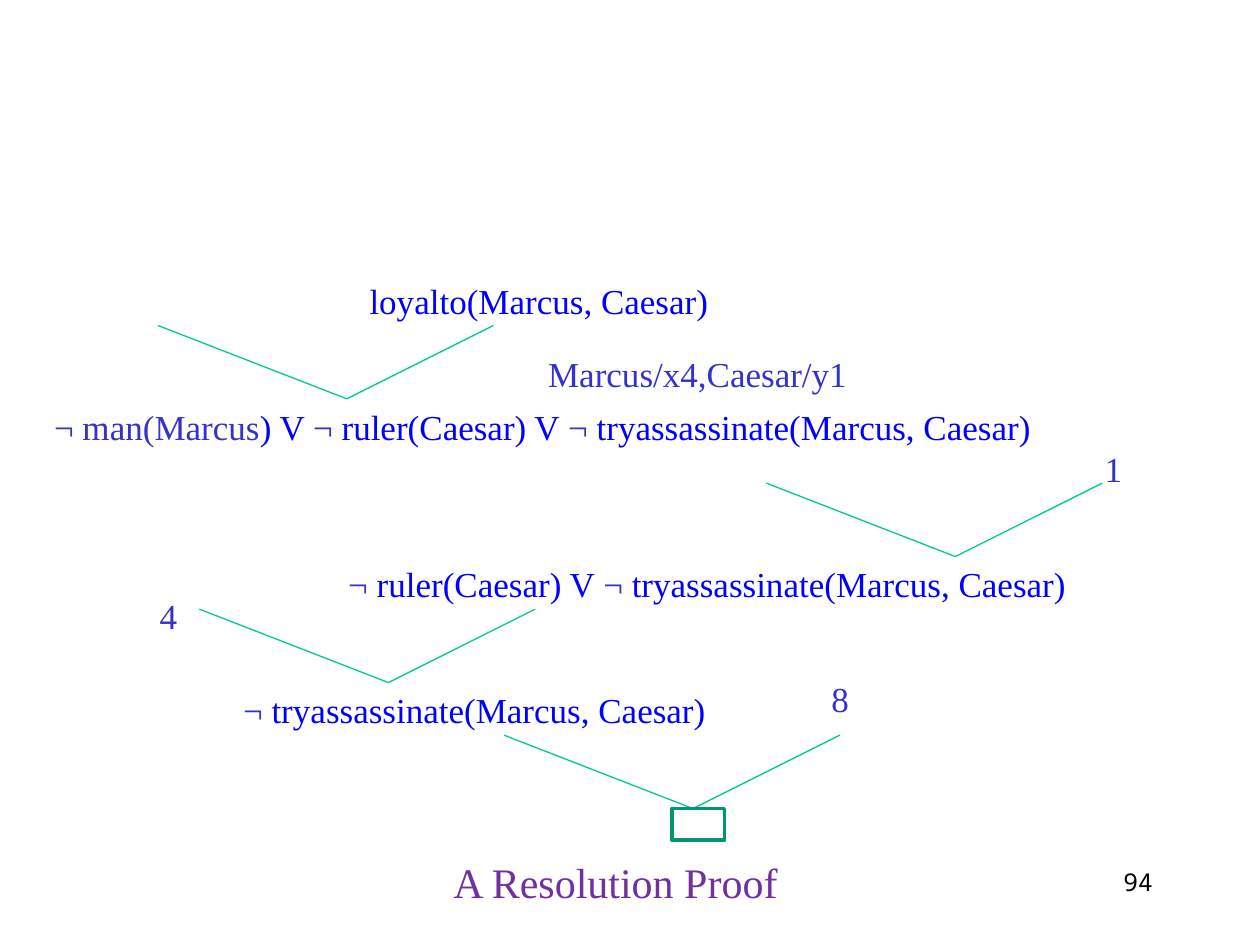
from dataclasses import dataclass

from lxml import etree
from pptx import Presentation
from pptx.dml.color import RGBColor
from pptx.enum.shapes import MSO_CONNECTOR, MSO_SHAPE
from pptx.enum.text import PP_ALIGN
from pptx.oxml.ns import qn
from pptx.slide import Slide
from pptx.util import Cm, Pt

STRAIGHT = MSO_CONNECTOR.STRAIGHT
RECT = MSO_SHAPE.RECTANGLE
LEFT, RIGHT = PP_ALIGN.LEFT, PP_ALIGN.RIGHT

BLUE = RGBColor(0x00, 0x00, 0xFF)
INDIGO = RGBColor(0x33, 0x33, 0xCC)
GREEN = RGBColor(0x00, 0xC8, 0x96)
TEAL = RGBColor(0x00, 0x97, 0x71)
PURPLE = RGBColor(0x70, 0x30, 0xA0)
BLACK = RGBColor(0x00, 0x00, 0x00)

SERIF = "Times New Roman"
MONO = "Noto Sans Mono"

Term = tuple[str, RGBColor]
NOT: Term = ("¬ ", INDIGO)
RULER: Term = ("ruler(Caesar) V ", BLUE)
TRY: Term = ("tryassassinate(Marcus, Caesar)", BLUE)


@dataclass(frozen=True)
class Label:
    """A line of text; lengths are in centimetres."""
    left: float
    top: float
    width: float
    terms: tuple[Term, ...]
    height: float = 1.11
    size: int = 20
    font: str = SERIF
    align: PP_ALIGN = LEFT
    wrap: bool = True


@dataclass(frozen=True)
class Fork:
    """Top left corner of the two lines that join a pair of clauses."""
    left: float
    top: float


DIP = 3.81    # from the left end of a fork to its tip
SPAN = 6.77   # from the left end to the right end
DROP = 1.48   # from the ends down to the tip

FORKS = (
    Fork(3.18, 6.56),
    Fork(15.45, 9.74),
    Fork(4.02, 12.28),
    Fork(10.16, 14.82),
)

LABELS = (
    Label(7.2, 5.5, 7.39, (("loyalto(Marcus, Caesar)", BLUE),), wrap=False),
    Label(10.8, 6.98, 8.46, (("Marcus/x4,Caesar/y1", INDIGO),)),
    Label(0.84, 8.05, 21.59,
          (("¬ man(Marcus", INDIGO), (") V ", BLUE), NOT, RULER, NOT, TRY)),
    Label(22.02, 8.89, 1.07, (("1", INDIGO),)),
    Label(5.5, 11.22, 17.78, (("\t¬ ", INDIGO), RULER, NOT, TRY)),
    Label(2.97, 11.86, 1.7, (("4", INDIGO),)),
    Label(4.65, 13.76, 10.19, (NOT, TRY), wrap=False),
    Label(16.51, 13.54, 1.27, (("8", INDIGO),)),
    Label(8.89, 17.15, 8.46, (("A Resolution Proof", PURPLE),),
          height=1.27, size=24),
    Label(18.21, 17.35, 5.28, (("94", BLACK),),
          height=1.27, size=14, font=MONO, align=RIGHT),
)


def add_label(slide: Slide, label: Label) -> None:
    box = slide.shapes.add_textbox(Cm(label.left), Cm(label.top),
                                   Cm(label.width), Cm(label.height))
    box.text_frame.word_wrap = label.wrap
    para = box.text_frame.paragraphs[0]
    para.alignment = label.align
    para.font.size = Pt(label.size)
    para.font.name = label.font
    for text, color in label.terms:
        run = para.add_run()
        run.text = text
        run.font.color.rgb = color


def add_fork(slide: Slide, fork: Fork) -> None:
    tip = fork.left + DIP, fork.top + DROP
    for end in (fork.left, fork.left + SPAN):
        line = slide.shapes.add_connector(
            STRAIGHT, Cm(end), Cm(fork.top), Cm(tip[0]), Cm(tip[1]))
        line.line.color.rgb = GREEN
        line.line.width = Pt(0.75)
        etree.SubElement(line._element.spPr, qn("a:effectLst"))


def add_goal(slide: Slide) -> None:
    """Draw the box that stands for the empty clause."""
    goal = slide.shapes.add_shape(RECT, Cm(13.55), Cm(16.3),
                                  Cm(1.06), Cm(0.64))
    goal.shadow.inherit = False
    goal.fill.background()
    goal.line.color.rgb = TEAL
    goal.line.width = Pt(2)


def main() -> None:
    deck = Presentation()
    deck.slide_width, deck.slide_height = Cm(25.4), Cm(19.05)
    slide = deck.slides.add_slide(deck.slide_layouts[6])
    for fork in FORKS:
        add_fork(slide, fork)
    add_goal(slide)
    for label in LABELS:
        add_label(slide, label)
    deck.save("out.pptx")


if __name__ == "__main__":
    main()
